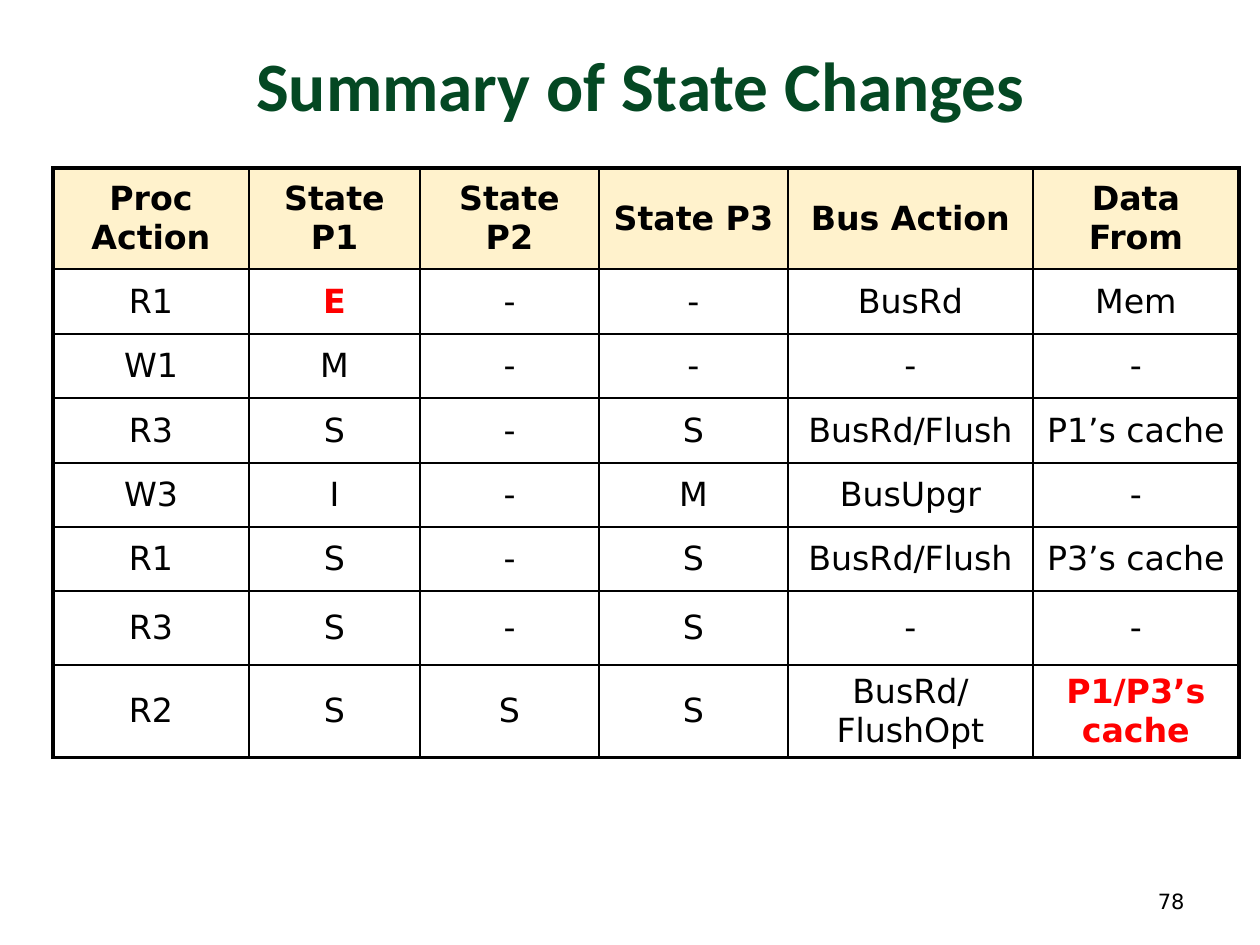
from lxml import etree
from pptx import Presentation
from pptx.dml.color import RGBColor
from pptx.enum.text import MSO_ANCHOR, MSO_AUTO_SIZE, PP_ALIGN
from pptx.oxml.ns import qn
from pptx.util import Emu, Pt

CENTER, RIGHT = PP_ALIGN.CENTER, PP_ALIGN.RIGHT
MIDDLE = MSO_ANCHOR.MIDDLE
NO_FIT = MSO_AUTO_SIZE.NONE
TITLE_ONLY = 5

BLACK, RED, GREEN, CREAM = "000000", "FF0000", "044823", "FFF2CC"
THIN, THICK = 1, 2.25

TITLE = {"name": "Calibri", "size": Pt(39.6), "bold": True}
CELL = {"name": "DejaVu Sans", "size": Pt(19), "bold": False}
STRONG = {**CELL, "bold": True}
NUMBER = {**CELL, "size": Pt(12)}

COL_WIDTHS = [196, 171, 179, 189, 245, 206]
ROW_HEIGHTS = [101, 65, 64, 65, 64, 64, 74, 90]
ROWS = [
    ["Proc Action", "State P1", "State P2", "State P3", "Bus Action", "Data From"],
    ["R1", "E", "-", "-", "BusRd", "Mem"],
    ["W1", "M", "-", "-", "-", "-"],
    ["R3", "S", "-", "S", "BusRd/Flush", "P1’s cache"],
    ["W3", "I", "-", "M", "BusUpgr", "-"],
    ["R1", "S", "-", "S", "BusRd/Flush", "P3’s cache"],
    ["R3", "S", "-", "S", "-", "-"],
    ["R2", "S", "S", "S", "BusRd/FlushOpt", "P1/P3’s cache"],
]
HIGHLIGHTS = {"E", "P1/P3’s cache"}


def px(n):
    return Emu(round(n * 914400 / 126))


def color(hex_value):
    return RGBColor.from_string(hex_value)


def set_text(tf, text, font, hex_color, align=CENTER):
    tf.word_wrap = True
    p = tf.paragraphs[0]
    p.alignment = align
    r = p.add_run()
    r.text = text
    for name, value in font.items():
        setattr(r.font, name, value)
    r.font.color.rgb = color(hex_color)


def add_title(slide, text, left, top, width, height):
    sp = slide.shapes.title
    sp.left, sp.top, sp.width, sp.height = map(px, (left, top, width, height))
    sp.text_frame.auto_size = NO_FIT
    sp.text_frame.vertical_anchor = MIDDLE
    set_text(sp.text_frame, text, TITLE, GREEN)


def add_page_number(slide, text, left, top, width, height):
    sp = slide.shapes.add_textbox(*map(px, (left, top, width, height)))
    sp.text_frame.vertical_anchor = MIDDLE
    set_text(sp.text_frame, text, NUMBER, BLACK, RIGHT)


def set_borders(cell, widths):
    tc_pr = cell._tc.get_or_add_tcPr()
    for side, width in widths.items():
        ln = etree.SubElement(tc_pr, qn(f"a:ln{side}"), w=str(Pt(width)))
        fill = etree.SubElement(ln, qn("a:solidFill"))
        etree.SubElement(fill, qn("a:srgbClr"), val=BLACK)


def format_cell(cell, text, is_header):
    cell.vertical_anchor = MIDDLE
    if is_header:
        cell.fill.solid()
        cell.fill.fore_color.rgb = color(CREAM)
    else:
        cell.fill.background()
    marked = text in HIGHLIGHTS
    set_text(cell.text_frame, text, STRONG if is_header or marked else CELL,
             RED if marked else BLACK)


def add_state_table(slide, left, top):
    size = (left, top, sum(COL_WIDTHS), sum(ROW_HEIGHTS))
    last_row, last_col = len(ROWS) - 1, len(COL_WIDTHS) - 1
    table = slide.shapes.add_table(last_row + 1, last_col + 1, *map(px, size)).table
    table.first_row = table.horz_banding = False
    for col, width in zip(table.columns, COL_WIDTHS):
        col.width = px(width)
    for row, height in zip(table.rows, ROW_HEIGHTS):
        row.height = px(height)

    for i, row in enumerate(ROWS):
        for j, text in enumerate(row):
            cell = table.cell(i, j)
            # Thick outer frame, thin inner grid
            outer = {"L": j == 0, "R": j == last_col, "T": i == 0, "B": i == last_row}
            set_borders(cell, {side: THICK if edge else THIN
                               for side, edge in outer.items()})
            format_cell(cell, text, i == 0)


def main():
    prs = Presentation()
    prs.slide_width, prs.slide_height = px(1260), px(945)
    slide = prs.slides.add_slide(prs.slide_layouts[TITLE_ONLY])

    add_page_number(slide, "78", 903, 876, 294, 50)
    add_title(slide, "Summary of State Changes", 84, 42, 1113, 84)
    add_state_table(slide, 53, 168)

    prs.save("out.pptx")


if __name__ == "__main__":
    main()
